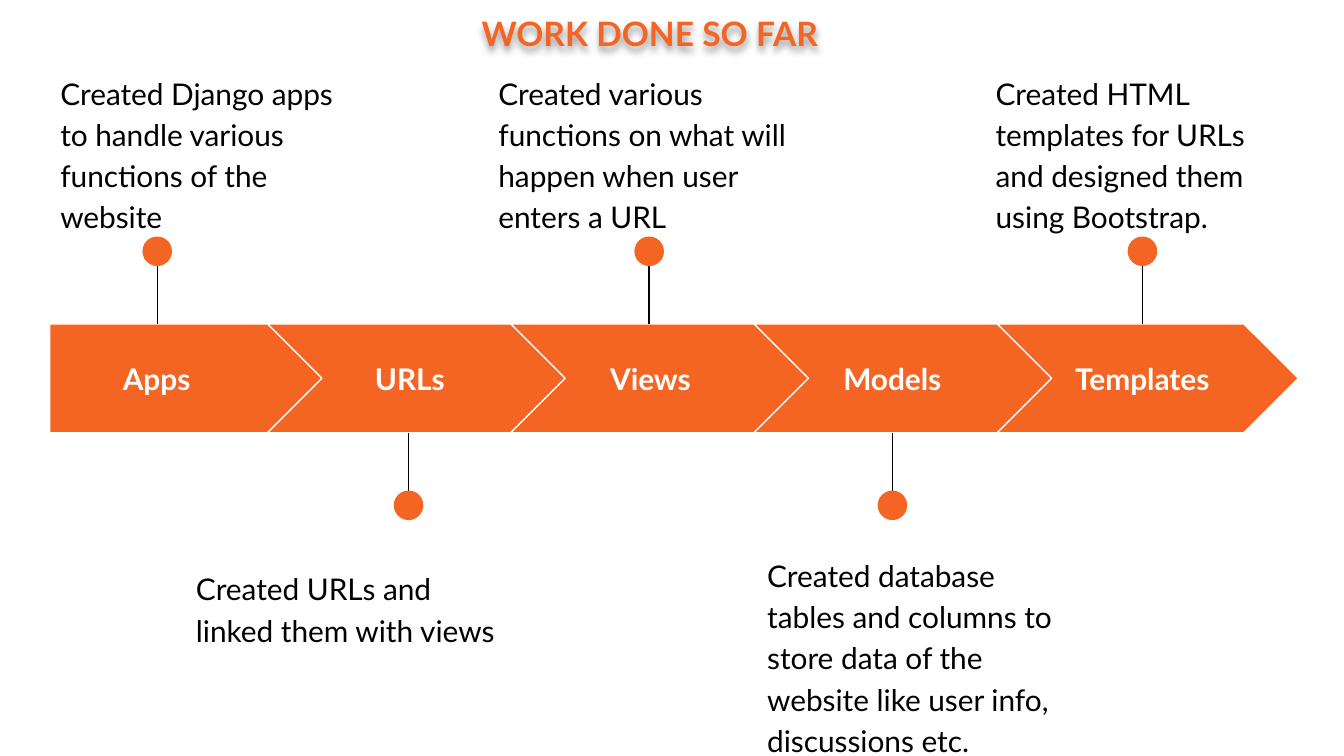
from dataclasses import dataclass

from lxml import etree
from pptx import Presentation
from pptx.dml.color import RGBColor
from pptx.enum import shapes, text
from pptx.oxml import ns
from pptx.util import Inches, Pt


@dataclass(frozen=True)
class Theme:
    """Colours, font and type sizes of the slide."""
    accent: RGBColor = RGBColor(0xF4, 0x65, 0x24)
    light: RGBColor = RGBColor(0xFF, 0xFF, 0xFF)
    dark: RGBColor = RGBColor(0, 0, 0)
    font: str = "Lato"
    title_size: int = 18
    body_size: int = 16
    line_width: float = 0.75


@dataclass(frozen=True)
class Step:
    """One stage of the process with its label and caption positions."""
    label: str
    caption: str
    label_left: float
    label_width: float
    pin_x: float
    caption_left: float
    caption_top: float


THEME = Theme()
BAND_TOP, BAND_HEIGHT = 2.41, 0.81
FIRST_CHEVRON, CHEVRON_PITCH = 1.99, 1.81
PIN_LENGTH, DOT_SIZE = 0.61, 0.22
STEPS = (
    Step("Apps", "Created Django apps to handle various functions of the website",
         0.37, 1.59, 1.17, 0.35, 0.42),
    Step("URLs", "Created URLs and linked them with views",
         2.33, 1.44, 3.04, 1.36, 4.11),
    Step("Views", "Created various functions on what will happen when user enters a URL",
         4.12, 1.44, 4.83, 3.61, 0.42),
    Step("Models", "Created database tables and columns to store data of the website "
         "like user info, discussions etc.",
         5.92, 1.44, 6.64, 5.61, 4.01),
    Step("Templates", "Created HTML templates for URLs and designed them using Bootstrap.",
         7.78, 1.44, 8.5, 7.31, 0.42),
)


def add_text(slide, content, box, size, color, bold=False, centered=False, middle=False):
    """Add a wrapped text box and return it."""
    shape = slide.shapes.add_textbox(*map(Inches, box))
    frame = shape.text_frame
    frame.word_wrap = True
    frame.margin_left = frame.margin_right = Inches(0.1)
    frame.margin_top = frame.margin_bottom = Inches(0.1)
    frame.vertical_anchor = text.MSO_ANCHOR.MIDDLE if middle else text.MSO_ANCHOR.TOP
    paragraph = frame.paragraphs[0]
    paragraph.alignment = text.PP_ALIGN.CENTER if centered else text.PP_ALIGN.LEFT
    run = paragraph.add_run()
    run.text = content
    run.font.name = THEME.font
    run.font.size = Pt(size)
    run.font.bold = bold
    run.font.color.rgb = color
    return shape


def add_title(slide):
    """Add the title with a soft shadow below its letters."""
    shape = add_text(slide, "WORK DONE SO FAR", (1.5, 0, 6.67, 0.37),
                     THEME.title_size, THEME.accent, bold=True, centered=True)
    effects = etree.SubElement(shape._element.spPr, ns.qn("a:effectLst"))
    shadow = etree.SubElement(effects, ns.qn("a:outerShdw"), blurRad=str(Pt(4)),
                              dist=str(Pt(2)), dir="5400000", algn="t", rotWithShape="0")
    color = etree.SubElement(shadow, ns.qn("a:srgbClr"), val=str(THEME.dark))
    etree.SubElement(color, ns.qn("a:alpha"), val="40000")


def add_filled_shape(slide, kind, box):
    """Add an accent-coloured shape without a shadow or outline."""
    shape = slide.shapes.add_shape(kind, *map(Inches, box))
    shape.shadow.inherit = False
    shape.fill.solid()
    shape.fill.fore_color.rgb = THEME.accent
    shape.line.fill.background()
    return shape


def add_arrow(slide, index):
    """Add the band segment for the step at this index."""
    if index == 0:
        kind, left, width = shapes.MSO_SHAPE.PENTAGON, 0.37, 2.05
    else:
        kind, width = shapes.MSO_SHAPE.CHEVRON, 2.24
        left = FIRST_CHEVRON + (index - 1) * CHEVRON_PITCH
    shape = add_filled_shape(slide, kind, (left, BAND_TOP, width, BAND_HEIGHT))
    shape.adjustments[0] = 0.5
    shape.line.color.rgb = THEME.light
    shape.line.width = Pt(THEME.line_width)


def add_pin(slide, x, above):
    """Add a line with a dot, above or below the band."""
    start = BAND_TOP if above else BAND_TOP + BAND_HEIGHT
    end = start - PIN_LENGTH if above else start + PIN_LENGTH
    dot_top = 1.76 if above else 3.65
    line = slide.shapes.add_connector(
        shapes.MSO_CONNECTOR.STRAIGHT, Inches(x), Inches(end), Inches(x), Inches(start))
    line.line.color.rgb = THEME.dark
    line.line.width = Pt(THEME.line_width)
    etree.SubElement(line._element.spPr, ns.qn("a:effectLst"))
    add_filled_shape(slide, shapes.MSO_SHAPE.OVAL,
                     (x - DOT_SIZE / 2, dot_top, DOT_SIZE, DOT_SIZE))


def add_caption(slide, step):
    """Add the description of a step."""
    shape = add_text(slide, step.caption, (step.caption_left, step.caption_top, 2.45, 0.99),
                     THEME.body_size, THEME.dark)
    paragraph = shape.text_frame.paragraphs[0]
    paragraph.line_spacing = 1.15
    paragraph.space_after = Pt(16)


def add_step(slide, index, step):
    """Add the segment, label, pin and caption of a step."""
    add_arrow(slide, index)
    add_text(slide, step.label, (step.label_left, 2.56, step.label_width, 0.51),
             THEME.body_size, THEME.light, bold=True, centered=True, middle=True)
    add_pin(slide, step.pin_x, above=index % 2 == 0)
    add_caption(slide, step)


def main():
    """Build and save the process slide."""
    presentation = Presentation()
    presentation.slide_width = Inches(10)
    presentation.slide_height = Inches(10 * 9 / 16)
    slide = presentation.slides.add_slide(presentation.slide_layouts[6])
    for index, step in enumerate(STEPS):
        add_step(slide, index, step)
    add_title(slide)
    presentation.save("out.pptx")


if __name__ == "__main__":
    main()
